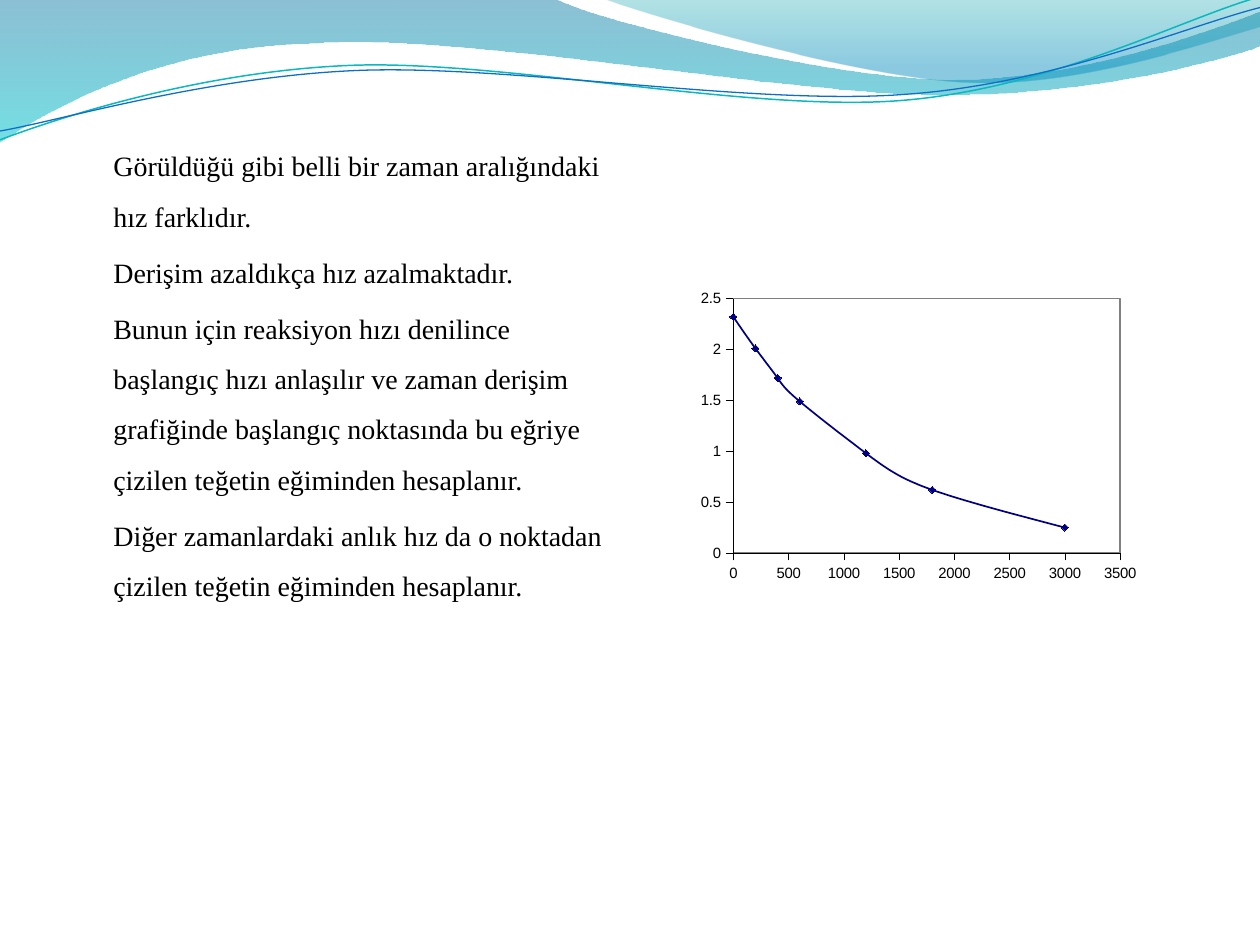
from lxml import etree
from pptx import Presentation
from pptx.chart.data import XyChartData
from pptx.dml.color import RGBColor
from pptx.enum.chart import XL_CHART_TYPE, XL_MARKER_STYLE, XL_TICK_MARK
from pptx.oxml import parse_xml
from pptx.oxml.ns import nsdecls, qn
from pptx.util import Inches, Pt

SMOOTH_SCATTER = XL_CHART_TYPE.XY_SCATTER_SMOOTH
DIAMOND = XL_MARKER_STYLE.DIAMOND
TICK_OUT, TICK_NONE = XL_TICK_MARK.OUTSIDE, XL_TICK_MARK.NONE

# Each wave is a start point followed by line ends (2 numbers) or Bézier curves (6).
BACK_WAVE = [(0, 0), (4.4, -0.01), (4.76, 0.17, 6.64, 0.63, 7.58, 0.63),
             (8.53, 0.63, 9.58, 0.26, 10, 0.09), (10.01, 0.36),
             (9.83, 0.44, 8.7, 0.76, 7.46, 0.75), (6.22, 0.75, 3.82, 0.28, 2.57, 0.34),
             (1.29, 0.36, 0.46, 0.83, -0.01, 1.13)]
FRONT_WAVE = [(4.79, -0.01), (5.09, 0.11, 6.82, 0.62, 7.69, 0.65),
              (8.56, 0.69, 9.61, 0.32, 10, 0.21), (10, 0)]
TEAL_LINE = [(0, 1.11), (0.48, 0.93, 1.58, 0.57, 2.77, 0.52),
             (3.95, 0.47, 5.93, 0.89, 7.13, 0.8), (8.33, 0.71, 9.38, 0.15, 9.98, -0.02)]
BLUE_LINE = [(0, 1.04), (0.47, 0.96, 1.64, 0.61, 2.83, 0.56),
             (4.03, 0.51, 5.97, 0.84, 7.17, 0.75), (8.36, 0.67, 9.41, 0.21, 10, 0.06)]

PARAGRAPHS = [
    "Görüldüğü gibi belli bir zaman aralığındaki hız farklıdır.",
    "Derişim azaldıkça hız azalmaktadır.",
    "Bunun için reaksiyon hızı denilince başlangıç hızı anlaşılır ve zaman derişim "
    "grafiğinde başlangıç noktasında bu eğriye çizilen teğetin eğiminden hesaplanır.",
    "Diğer zamanlardaki anlık hız da o noktadan çizilen teğetin eğiminden hesaplanır.",
]
CONCENTRATION = [(0, 2.32), (200, 2.01), (400, 1.72), (600, 1.49),
                 (1200, 0.98), (1800, 0.62), (3000, 0.25)]


def rgb(value):
    return RGBColor.from_string(value)


def box_format(fill, line):
    """Shape properties for chart parts that python-pptx does not reach."""
    return parse_xml(f'<c:spPr {nsdecls("c", "a")}><a:solidFill><a:srgbClr val="{fill}"/>'
                     f'</a:solidFill><a:ln w="12700">{line}</a:ln></c:spPr>')


class Deck:
    text_font, chart_font = "Times New Roman", "Arial"
    ink, series_color = "000000", "000080"

    def __init__(self, slide):
        self.s = slide

    def outline(self, segments, closed):
        """Freeform through the segment ends, with the Bézier segments bent afterwards."""
        ends = [(Inches(seg[-2]), Inches(seg[-1])) for seg in segments]
        builder = self.s.shapes.build_freeform(*ends[0])
        builder.add_line_segments(ends[1:], close=closed)
        sp = builder.convert_to_shape()
        sp.shadow.inherit = False
        lines = list(sp.element.iter(qn("a:lnTo")))
        for line, seg in zip(lines, segments[1:]):
            if len(seg) == 6:
                bezier = etree.Element(qn("a:cubicBezTo"))
                for x, y in zip(seg[::2], seg[1::2]):
                    pt = etree.SubElement(bezier, qn("a:pt"))
                    pt.set("x", str(Inches(x) - sp.left))
                    pt.set("y", str(Inches(y) - sp.top))
                line.getparent().replace(line, bezier)
        return sp

    def wave(self, segments, stops):
        """Closed band with a downward gradient; stops are (position, colour, opacity)."""
        sp = self.outline(segments, True)
        sp.line.fill.background()
        sp.fill.gradient()
        sp.fill.gradient_angle = 270
        for stop, (_, color, _) in zip(sp.fill.gradient_stops, stops):
            stop.color.rgb = rgb(color)
        for gs, (position, _, opacity) in zip(sp.element.iter(qn("a:gs")), stops):
            gs.set("pos", str(position * 1000))
            etree.SubElement(gs[0], qn("a:alpha")).set("val", str(opacity * 1000))

    def curve(self, segments, color, width):
        sp = self.outline(segments, False)
        sp.fill.background()
        sp.line.color.rgb = rgb(color)
        sp.line.width = Pt(width)

    def body(self, x, y, w, h, paragraphs):
        tf = self.s.shapes.add_textbox(Inches(x), Inches(y), Inches(w), Inches(h)).text_frame
        tf.word_wrap = True
        tf.margin_left = Inches(0.4)
        tf.text = "\n".join(paragraphs)
        for p in tf.paragraphs:
            p.line_spacing = 1.5
            p.space_before = Pt(3.2)
            font = p.runs[0].font
            font.name, font.size = self.text_font, Pt(16)
            font.color.rgb = rgb(self.ink)

    def axis(self, axis, maximum, step):
        axis.minimum_scale, axis.maximum_scale, axis.major_unit = 0, maximum, step
        axis.has_major_gridlines = False
        axis.major_tick_mark, axis.minor_tick_mark = TICK_OUT, TICK_NONE
        axis.tick_labels.number_format = "General"
        axis.tick_labels.number_format_is_linked = False
        axis.format.line.color.rgb = rgb(self.ink)
        axis.format.line.width = Pt(0.25)

    def scatter(self, x, y, w, h, points, plot):
        """Smooth scatter chart; plot is the inner plot rectangle in inches."""
        data = XyChartData()
        series = data.add_series("Series 1")
        for point in points:
            series.add_data_point(*point)
        chart = self.s.shapes.add_chart(SMOOTH_SCATTER, Inches(x), Inches(y),
                                        Inches(w), Inches(h), data).chart
        chart.has_legend = chart.has_title = False
        chart.font.name, chart.font.size = self.chart_font, Pt(8.5)
        chart.font.color.rgb = rgb(self.ink)
        self.axis(chart.category_axis, 3500, 500)
        self.axis(chart.value_axis, 2.5, 0.5)

        chart.plots[0].vary_by_categories = False
        ser = chart.plots[0].series[0]
        for smooth in chart.element.iter(qn("c:smooth")):
            smooth.set("val", "1")
        ser.format.line.color.rgb = rgb(self.series_color)
        ser.format.line.width = Pt(0.97)
        ser.marker.style, ser.marker.size = DIAMOND, 4
        ser.marker.format.fill.solid()
        ser.marker.format.fill.fore_color.rgb = rgb(self.series_color)
        ser.marker.format.line.color.rgb = rgb(self.series_color)
        self.plot_area(chart.element, [part / whole for part, whole in zip(plot, (w, h, w, h))])

    def plot_area(self, space, plot):
        """Fix the inner plot rectangle and frame it in grey."""
        area = space.find(".//" + qn("c:plotArea"))
        for old in area.findall(qn("c:layout")):
            area.remove(old)
        values = "".join(f'<c:{tag} val="{value:.4f}"/>' for tag, value in zip("xywh", plot))
        area.insert(0, parse_xml(
            f'<c:layout {nsdecls("c")}><c:manualLayout><c:layoutTarget val="inner"/>'
            f'<c:xMode val="edge"/><c:yMode val="edge"/>{values}</c:manualLayout></c:layout>'))
        grey = '<a:solidFill><a:srgbClr val="808080"/></a:solidFill>'
        area.append(box_format("FFFFFF", grey))
        space.find(qn("c:chart")).addnext(box_format("FFFFFF", "<a:noFill/>"))


def main():
    prs = Presentation()
    prs.slide_width, prs.slide_height = Inches(10), Inches(7.5)
    deck = Deck(prs.slides.add_slide(prs.slide_layouts[6]))
    deck.wave(BACK_WAVE, [(0, "0074A1", 45), (100, "00C6CF", 55)])
    deck.wave(FRONT_WAVE, [(0, "00A1A9", 30), (80, "008BBF", 45)])
    deck.curve(TEAL_LINE, "0AB8BF", 0.85)
    deck.curve(BLUE_LINE, "0F6FC6", 0.75)
    deck.body(0.5, 1, 4.42, 5.71, PARAGRAPHS)
    deck.scatter(5.39, 2.14, 3.77, 2.66, CONCENTRATION, (0.43, 0.23, 3.07, 2.02))
    prs.save("out.pptx")


if __name__ == "__main__":
    main()
